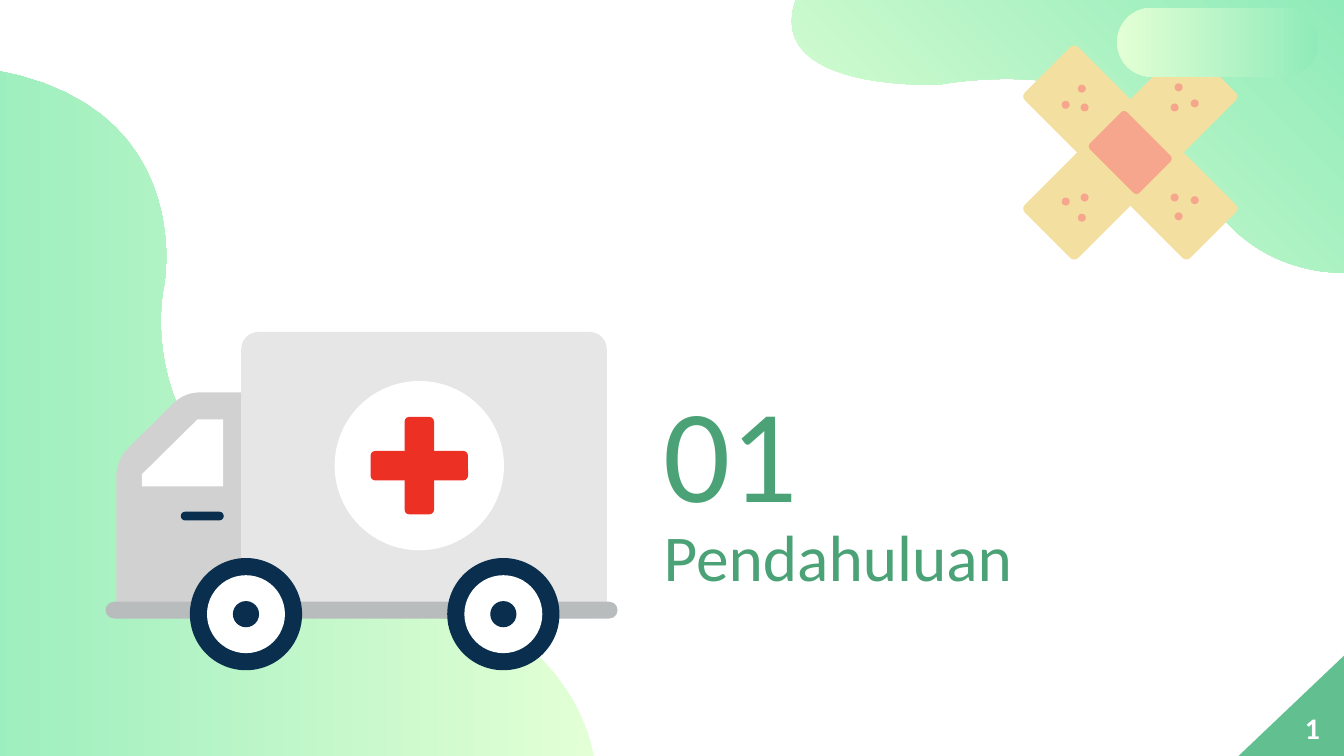
from pptx import Presentation
from pptx.dml.color import RGBColor
from pptx.enum.shapes import MSO_SHAPE
from pptx.enum.text import MSO_ANCHOR
from pptx.util import Inches, Pt

OVAL = MSO_SHAPE.OVAL
ROUND = MSO_SHAPE.ROUNDED_RECTANGLE
WEDGE = MSO_SHAPE.RIGHT_TRIANGLE
TOP = MSO_ANCHOR.TOP

HUES = {
    "light": "E3FFD5", "mint": "90EBBA", "green": "62C090", "title": "4AA276",
    "tape": "F3E0A0", "pad": "F7A68E", "cab": "D1D1D1", "body": "E6E6E6",
    "bar": "B9BCBD", "navy": "0A2E4E", "red": "ED3024", "white": "FFFFFF",
}
STEPS = 24  # straight pieces per curve

deck = Presentation()
deck.slide_width = Inches(10)
deck.slide_height = deck.slide_width * 9 // 16
CELL = deck.slide_width / 100  # square grid, 100 columns wide
slide = deck.slides.add_slide(deck.slide_layouts[6])
shapes = slide.shapes


def paint(shape, look):
    """Fill with a named hue, or with the light-to-mint blend at an angle."""
    shape.shadow.inherit = False
    shape.line.fill.background()
    if isinstance(look, str):
        shape.fill.solid()
        shape.fill.fore_color.rgb = RGBColor.from_string(HUES[look])
        return
    shape.fill.gradient()
    shape.fill.gradient_angle = look
    for stop, name in zip(shape.fill.gradient_stops, ("light", "mint")):
        stop.color.rgb = RGBColor.from_string(HUES[name])


def trace(start, parts):
    """Turn lines (x, y) and cubic curves (six numbers) into a point list."""
    dots = [start]
    for part in parts:
        if len(part) == 2:
            dots.append(part)
            continue
        knots = [dots[-1], part[:2], part[2:4], part[4:]]
        for step in range(1, STEPS + 1):
            t = step / STEPS
            mix = ((1 - t) ** 3, 3 * t * (1 - t) ** 2, 3 * t * t * (1 - t), t ** 3)
            dots.append(tuple(sum(m * k[axis] for m, k in zip(mix, knots))
                              for axis in (0, 1)))
    return [(x * CELL, y * CELL) for x, y in dots]


# Curved outlines: look, start, parts
forms = [
    (180, (44.2, 56.4), [
        (43.6, 52.8, 40.8, 46.2, 27.6, 41.8), (8.8, 35.6, 12.2, 21.3, 12.2, 21.3),
        (12.2, 21.3, 15.6, 3.6, -8.6, 4.8), (-8.6, 56.3)]),
    (45, (100, 20.3), [
        (96.9, 20.3, 91.7, 19.1, 88.8, 12.8), (84.6, 3.4, 69.9, 6.3, 69.9, 6.3),
        (69.9, 6.3, 56.8, 6.9, 59.2, 0), (100, 0)]),
    ("cab", (14.9, 29.2), [
        (14.1, 29.2, 13.4, 29.5, 12.8, 30.1), (9.5, 33.4),
        (8.9, 34, 8.65, 34.8, 8.65, 35.5), (8.65, 46), (18, 46), (18, 29.2)]),
    ("white", (10.55, 36.2), [
        (16.6, 36.2), (16.6, 31.2), (14.7, 31.2), (10.55, 35.3)]),
]
for look, start, parts in forms:
    dots = trace(start, parts)
    pen = shapes.build_freeform(*dots[0], scale=1)
    pen.add_line_segments(dots[1:], close=True)
    paint(pen.convert_to_shape(), look)

# Preset shapes: kind, look, centre x, centre y, width, height, corner, turn
items = []
spots = {
    315: [(87.7, 6.5), (88.9, 7.7), (87.4, 8), (80.5, 16.2), (79.3, 15), (80.7, 14.7)],
    45: [(88.9, 14.9), (87.7, 16.1), (87.4, 14.7), (79.3, 7.8), (80.5, 6.6), (80.7, 8)],
}
for turn, marks in spots.items():
    items += [(ROUND, "tape", 84.1, 11.35, 17.4, 5.6, 0.07, turn),
              (ROUND, "pad", 84.1, 11.35, 5.2, 3.9, 0.08, turn)]
    items += [(OVAL, "pad", x, y, 0.6, 0.6, None, 0) for x, y in marks]

items += [
    (ROUND, "body", 31.55, 35.35, 27.2, 21.3, 0.06, 0),
    (ROUND, "navy", 15.05, 38.4, 3.2, 0.65, 0.5, 0),
    (OVAL, "white", 31.2, 34.65, 12.6, 12.6, None, 0),
    (ROUND, "red", 31.2, 34.65, 7.25, 2.2, 0.16, 0),
    (ROUND, "red", 31.2, 34.65, 2.2, 7.25, 0.16, 0),
    (ROUND, "bar", 26.9, 45.4, 38.1, 1.25, 0.5, 0),
]
for hub in (18.3, 37.45):
    for look, size in (("navy", 8.35), ("white", 5.8), ("navy", 1.95)):
        items.append((OVAL, look, hub, 45.7, size, size, None, 0))
items += [
    (ROUND, 0, 90.6, 3.15, 15, 5.1, 0.5, 0),
    (WEDGE, "green", 96.15, 52.45, 7.7, 8.1, None, 270),
]
for kind, look, x, y, wide, high, curve, turn in items:
    box = [int(n * CELL) for n in (x - wide / 2, y - high / 2, wide, high)]
    shape = shapes.add_shape(kind, *box)
    shape.rotation = turn
    if curve is not None:
        shape.adjustments[0] = curve
    paint(shape, look)

# Text: words, left, top, width, height, top inset, size, hue, bold
texts = [
    ("Pendahuluan", 48.4, 37.4, 43.7, 6.7, 1, 35, "title", False),
    ("01", 48.4, 26.5, 43.7, 10.5, 1, 71, "title", False),
    ("1", 96.1, 52.3, 4.1, 3.7, 0.5, 16, "white", True),
]
for words, x, y, wide, high, inset, size, hue, bold in texts:
    box = [int(n * CELL) for n in (x, y, wide, high)]
    frame = shapes.add_textbox(*box).text_frame
    frame.text = words
    frame.word_wrap = True
    frame.vertical_anchor = TOP
    frame.margin_left = frame.margin_right = int(CELL)
    frame.margin_top = frame.margin_bottom = int(inset * CELL)
    font = frame.paragraphs[0].runs[0].font
    font.name, font.size, font.bold = "Calibri", Pt(size), bold
    font.color.rgb = RGBColor.from_string(HUES[hue])

deck.save("out.pptx")
